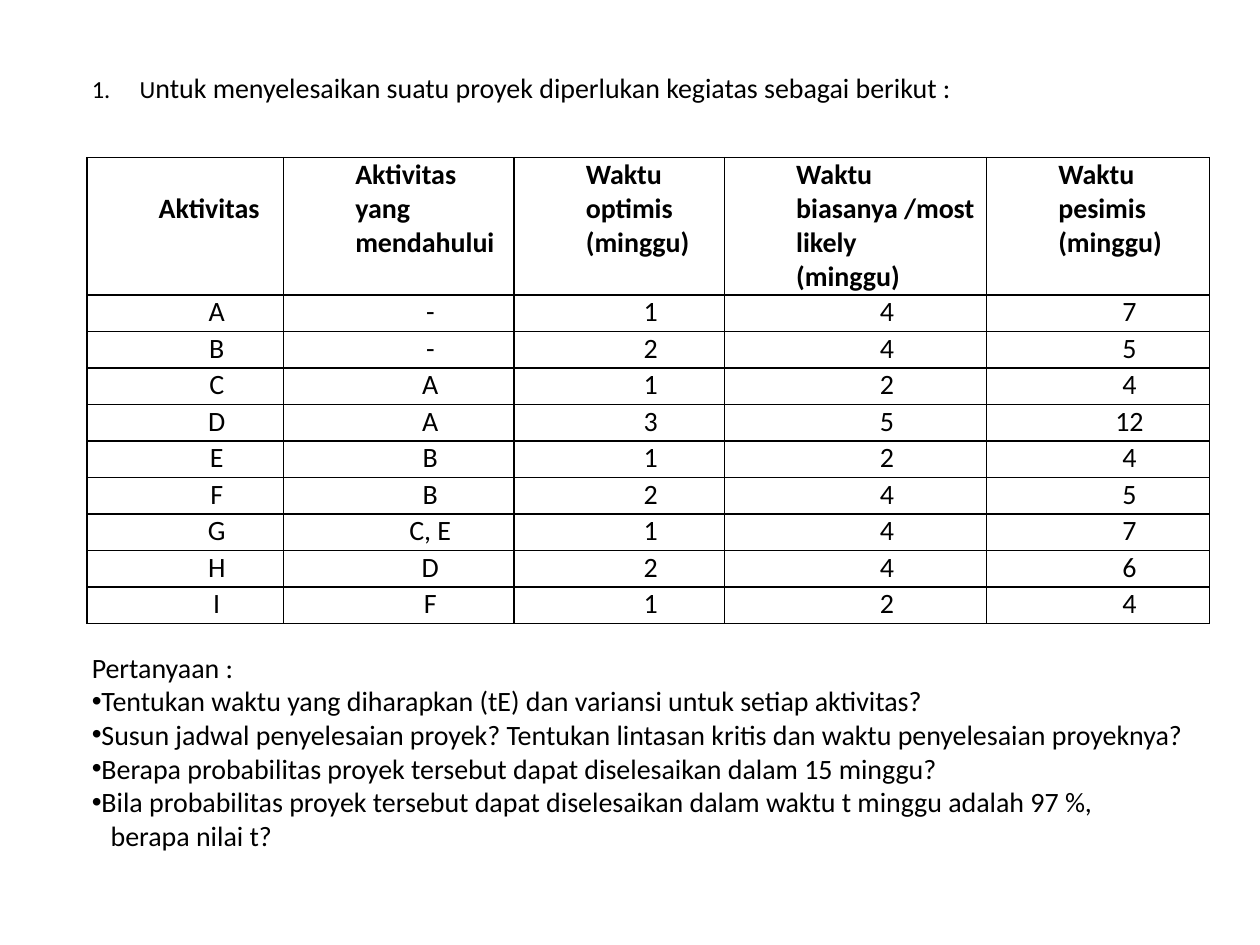
from typing import NamedTuple

from lxml import etree
from pptx import Presentation
from pptx.dml.color import RGBColor
from pptx.enum.text import MSO_ANCHOR, PP_ALIGN
from pptx.oxml.ns import qn
from pptx.util import Emu, Inches, Pt

FONT, BLACK, BODY_SIZE = "Calibri", "000000", 16


class Column(NamedTuple):
    heading: list[str]
    width: float
    values: list[str]


COLUMNS = [
    Column(["Aktivitas"], 1.56, list("ABCDEFGHI")),
    Column(["Aktivitas yang mendahului"], 1.83,
           ["-", "-", "A", "A", "B", "B", "C, E", "D", "F"]),
    Column(["Waktu optimis", "(minggu)"], 1.67, list("121312121")),
    Column(["Waktu biasanya /most likely", "(minggu)"], 2.08, list("442524442")),
    Column(["Waktu pesimis (minggu)"], 1.77,
           ["7", "5", "4", "12", "4", "5", "7", "6", "4"]),
]
QUESTIONS = [
    "Tentukan waktu yang diharapkan (tE) dan variansi untuk setiap aktivitas?",
    "Susun jadwal penyelesaian proyek? Tentukan lintasan kritis dan waktu penyelesaian proyeknya?",
    "Berapa probabilitas proyek tersebut dapat diselesaikan dalam 15 minggu?",
    "Bila probabilitas proyek tersebut dapat diselesaikan dalam waktu t minggu adalah 97 %,",
]


def colour(value: str) -> RGBColor:
    return RGBColor.from_string(value)


def set_font(paragraph, size: float = BODY_SIZE, bold: bool = False) -> None:
    font = paragraph.font
    font.name, font.size, font.bold = FONT, Pt(size), bold
    font.color.rgb = colour(BLACK)


def indent(paragraph, left: float, first: float = 0) -> None:
    properties = paragraph._p.get_or_add_pPr()
    properties.set("marL", str(Inches(left)))
    properties.set("indent", str(Inches(first)))


def add_bullet(paragraph, tag: str, **attributes: str) -> None:
    properties = paragraph._p.get_or_add_pPr()
    if tag == "a:buChar":
        etree.SubElement(properties, qn("a:buFont"), typeface="Arial")
    etree.SubElement(properties, qn(tag), **attributes)


def draw_borders(cell) -> None:
    properties = cell._tc.get_or_add_tcPr()
    for position, side in enumerate("LRTB"):
        line = etree.Element(qn(f"a:ln{side}"), w=str(Pt(1)))
        fill = etree.SubElement(line, qn("a:solidFill"))
        etree.SubElement(fill, qn("a:srgbClr"), val=BLACK)
        properties.insert(position, line)


def fill_cell(cell, lines: list[str], heading: bool) -> None:
    cell.margin_left = cell.margin_right = Inches(0.07)
    cell.margin_top = cell.margin_bottom = Emu(0)
    cell.fill.background()
    draw_borders(cell)
    cell.text_frame.text = "\n".join(lines)
    for paragraph in cell.text_frame.paragraphs:
        indent(paragraph, 0.5)
        paragraph.alignment = PP_ALIGN.LEFT if heading else PP_ALIGN.CENTER
        set_font(paragraph, bold=heading)


def add_activity_table(slide) -> None:
    row_count = len(COLUMNS[0].values) + 1
    table = slide.shapes.add_table(
        row_count, len(COLUMNS), Inches(0.69), Inches(1.25),
        Inches(8.92), Inches(3.69)).table
    table.first_row = table.horz_banding = False
    for index, row in enumerate(table.rows):
        row.height = Inches(0.29 if index else 1.09)
    for index, column in enumerate(COLUMNS):
        table.columns[index].width = Inches(column.width)
        fill_cell(table.cell(0, index), column.heading, heading=True)
        for row, value in enumerate(column.values, start=1):
            fill_cell(table.cell(row, index), [value], heading=False)
    # The first heading sits one line lower than the others
    table.cell(0, 0).margin_top = Inches(0.27)


def add_text_frame(slide, left: float, top: float, width: float, height: float):
    frame = slide.shapes.add_textbox(
        Inches(left), Inches(top), Inches(width), Inches(height)).text_frame
    frame.word_wrap = True
    return frame


def add_task(slide) -> None:
    task = add_text_frame(slide, 0.63, 0.51, 7.09, 0.37).paragraphs[0]
    indent(task, 0.38, -0.38)
    add_bullet(task, "a:buAutoNum", type="arabicPeriod")
    set_font(task)
    for words, size in (
        ("U", 14),
        ("ntuk menyelesaikan suatu proyek diperlukan kegiatas sebagai berikut :", BODY_SIZE),
    ):
        run = task.add_run()
        run.text = words
        run.font.size = Pt(size)


def add_questions(slide) -> None:
    frame = add_text_frame(slide, 0.63, 4.94, 9.11, 1.87)
    frame.vertical_anchor = MSO_ANCHOR.BOTTOM
    frame.text = "\n".join(["Pertanyaan :", *QUESTIONS, "berapa nilai t?"])
    paragraphs = frame.paragraphs
    for question in paragraphs[1:-1]:
        indent(question, 0)
        add_bullet(question, "a:buChar", char="•")
    indent(paragraphs[-1], 0.15)
    for paragraph in paragraphs:
        set_font(paragraph)


def main() -> None:
    presentation = Presentation()
    presentation.slide_width, presentation.slide_height = Inches(10), Inches(7.5)
    slide = presentation.slides.add_slide(presentation.slide_layouts[6])
    add_activity_table(slide)
    add_questions(slide)
    add_task(slide)
    presentation.save("out.pptx")


if __name__ == "__main__":
    main()
